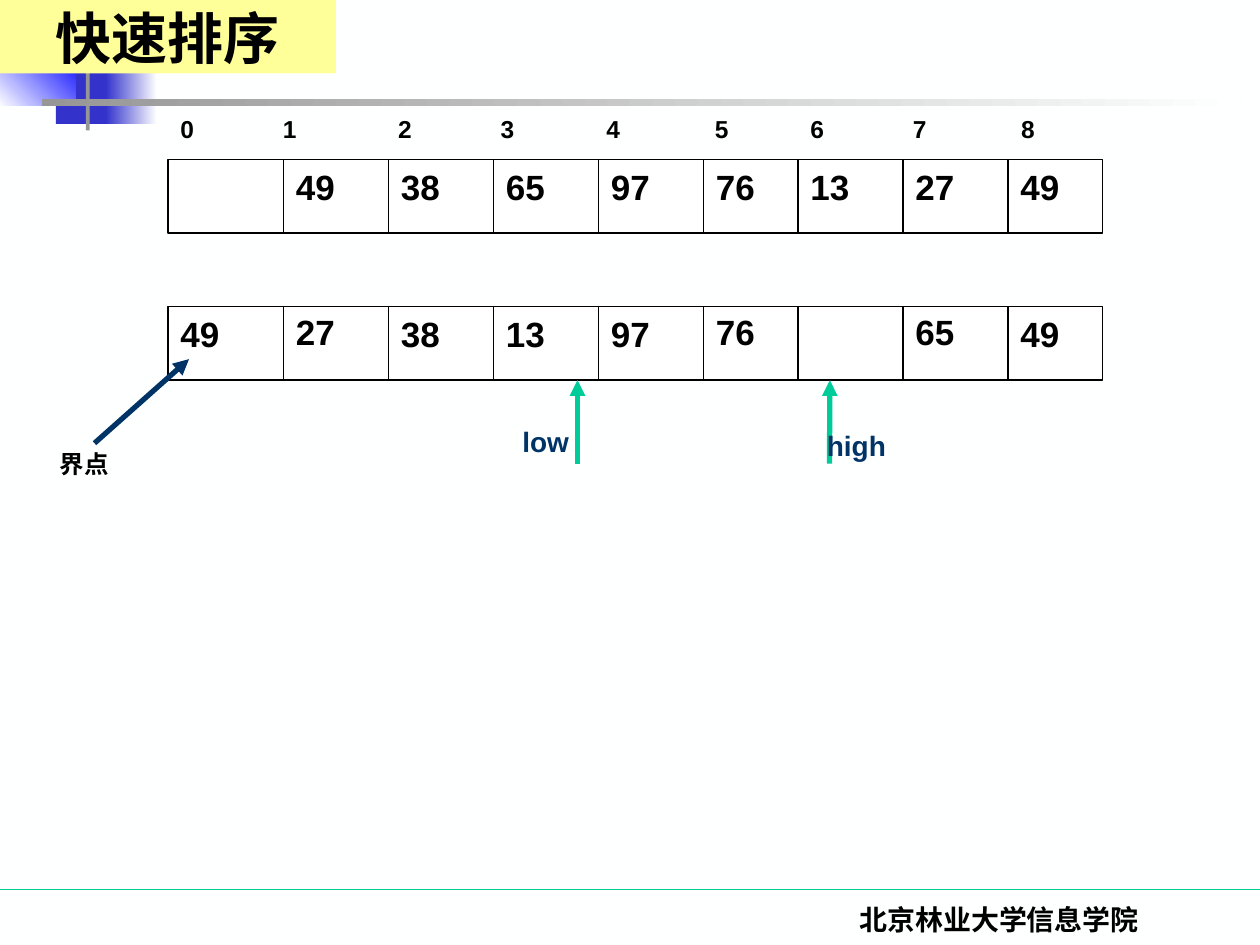
from lxml.etree import SubElement
from pptx import Presentation
from pptx.dml.color import RGBColor
from pptx.enum.shapes import MSO_CONNECTOR, MSO_SHAPE
from pptx.enum.text import MSO_ANCHOR, MSO_AUTO_SIZE, PP_ALIGN
from pptx.oxml.ns import qn
from pptx.util import Pt

WHITE, BLACK, NAVY, GREEN = "FEFFFF", "000000", "003366", "00CC99"
BLUE, GREY = "3333CC", "969696"
LEFT, WIDTH, HIGH = 96, 534, 42
EDGES = [162, 222, 282, 342, 402, 456, 516, 576]
STOPS = [58.5, 124.5, 183, 243.5, 305.5, 360, 418.5, 480.5]


def paint(part, color):
    part.solid()
    part.fore_color.rgb = RGBColor.from_string(color)


def add_rect(slide, box, *colors, angle=0, line=None):
    """Rectangle with one colour, or a gradient between two."""
    shape = slide.shapes.add_shape(MSO_SHAPE.RECTANGLE, *map(Pt, box))
    shape.shadow.inherit = False
    if len(colors) == 1:
        paint(shape.fill, colors[0])
    else:
        shape.fill.gradient()
        shape.fill.gradient_angle = angle
        for place, (stop, color) in enumerate(zip(shape.fill.gradient_stops, colors)):
            stop.position = place
            stop.color.rgb = RGBColor.from_string(color)
    if line:
        paint(shape.line.fill, line)
        shape.line.width = Pt(0.75)
    else:
        shape.line.fill.background()


def add_line(slide, ends, color=BLACK, width=0.75, arrow=False):
    line = slide.shapes.add_connector(MSO_CONNECTOR.STRAIGHT, *map(Pt, ends))
    paint(line.line.fill, color)
    line.line.width = Pt(width)
    props = line._element.spPr
    if arrow:
        SubElement(props.find(qn("a:ln")), qn("a:tailEnd"), type="triangle")
    SubElement(props, qn("a:effectLst"))


def style(para, size, font="Arial", color=BLACK):
    para.font.name = font
    para.font.size = Pt(size)
    para.font.bold = True
    para.font.color.rgb = RGBColor.from_string(color)


def add_text(slide, text, box, size, font="Arial", color=BLACK, align=PP_ALIGN.LEFT, tabs=()):
    frame = slide.shapes.add_textbox(*map(Pt, box)).text_frame
    frame.word_wrap = True
    para = frame.paragraphs[0]
    para.text = text
    para.alignment = align
    if tabs:
        stops = SubElement(para._p.get_or_add_pPr(), qn("a:tabLst"))
        for tab in tabs:
            SubElement(stops, qn("a:tab"), pos=str(Pt(tab)), algn="l")
    style(para, size, font, color)


def add_row(slide, top, values, raised=()):
    """Framed array row; raised cells sit slightly higher."""
    add_rect(slide, (LEFT, top, WIDTH, HIGH), "FFFFFF", line=BLACK)
    for x in EDGES:
        add_line(slide, (x, top, x, top + HIGH))
    for spot, (x, value) in enumerate(zip([LEFT] + EDGES, values)):
        if value:
            y = top - 1.25 if spot in raised else top
            add_text(slide, value, (x, y, 48, 31.5), 20)


def add_decor(slide):
    # Squares and bars behind the title
    add_rect(slide, (22.5, 0, 34.5, 37.5), NAVY)
    add_rect(slide, (52, 0, 26, 37.5), NAVY, WHITE)
    add_rect(slide, (32, 33.25, 33, 37.5), BLUE)
    add_rect(slide, (60.5, 33.25, 29, 37.5), BLUE, WHITE)
    add_rect(slide, (-0.5, 27.5, 44, 33), WHITE, "0000FF", angle=45)
    add_rect(slide, (49, -8.5, 2.25, 83), GREY)
    add_rect(slide, (24, 56.5, 685, 4), GREY, WHITE)
    # Footer
    add_line(slide, (0, 508.25, 720, 508.25), GREEN)
    add_text(slide, "北京林业大学信息学院", (422, 512, 298, 36), 16,
             "Times New Roman", align=PP_ALIGN.CENTER)


def add_title(slide, text):
    title = slide.shapes.title
    title.left, title.top, title.width, title.height = map(Pt, (0, 0, 192, 42))
    paint(title.fill, "FFFF99")
    frame = title.text_frame
    frame.text = text
    frame.auto_size = MSO_AUTO_SIZE.NONE
    frame.vertical_anchor = MSO_ANCHOR.MIDDLE
    para = frame.paragraphs[0]
    para.alignment = PP_ALIGN.CENTER
    style(para, 32, "Times New Roman")
    # Bring the title in front of the decoration
    slide.shapes._spTree.append(title._element)


def main():
    deck = Presentation()
    deck.slide_width, deck.slide_height = Pt(720), Pt(540)
    slide = deck.slides.add_slide(deck.slide_layouts[5])
    paint(slide.background.fill, WHITE)
    add_decor(slide)

    # Indices and the two array states
    add_text(slide, "\t".join(map(str, range(9))), (LEFT, 61.5, WIDTH, 24.5), 14, tabs=STOPS)
    add_row(slide, 91.25, ["", "49", "38", "65", "97", "76", "13", "27", "49"])
    add_row(slide, 175.25, ["49", "27", "38", "13", "97", "76", "", "65", "49"], (1, 5, 7))

    # Pointers
    add_line(slide, (474, 265, 474.25, 217.25), GREEN, 3, True)
    add_text(slide, "high", (465.5, 241.5, 66, 26.5), 16, color=NAVY)
    add_line(slide, (330, 265, 330, 217.25), GREEN, 3, True)
    add_text(slide, "low", (291.5, 239, 66, 26.5), 16, color=NAVY)

    # Pivot
    add_text(slide, "界点", (27, 253.25, 60, 24.5), 14)
    add_line(slide, (54, 253.25, 108, 205.25), NAVY, 3, True)

    add_title(slide, "快速排序")
    deck.save("out.pptx")


if __name__ == "__main__":
    main()
